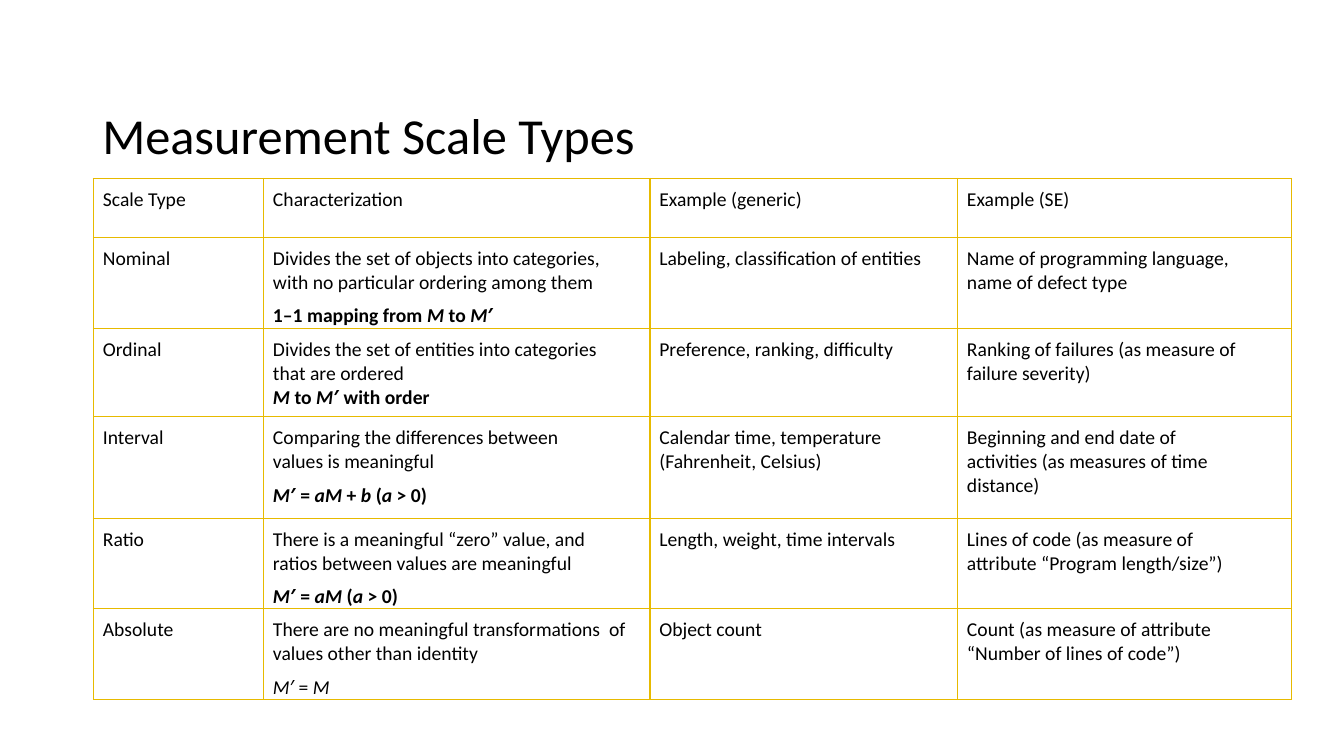
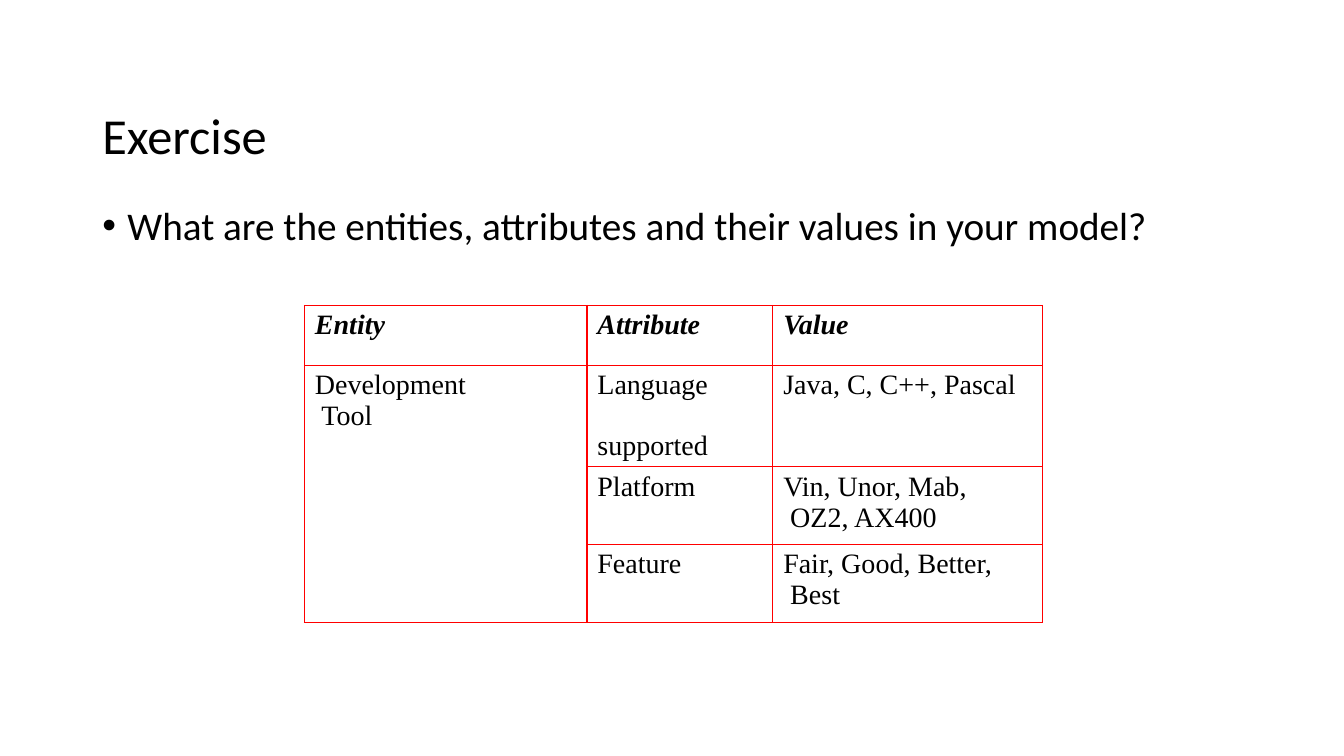
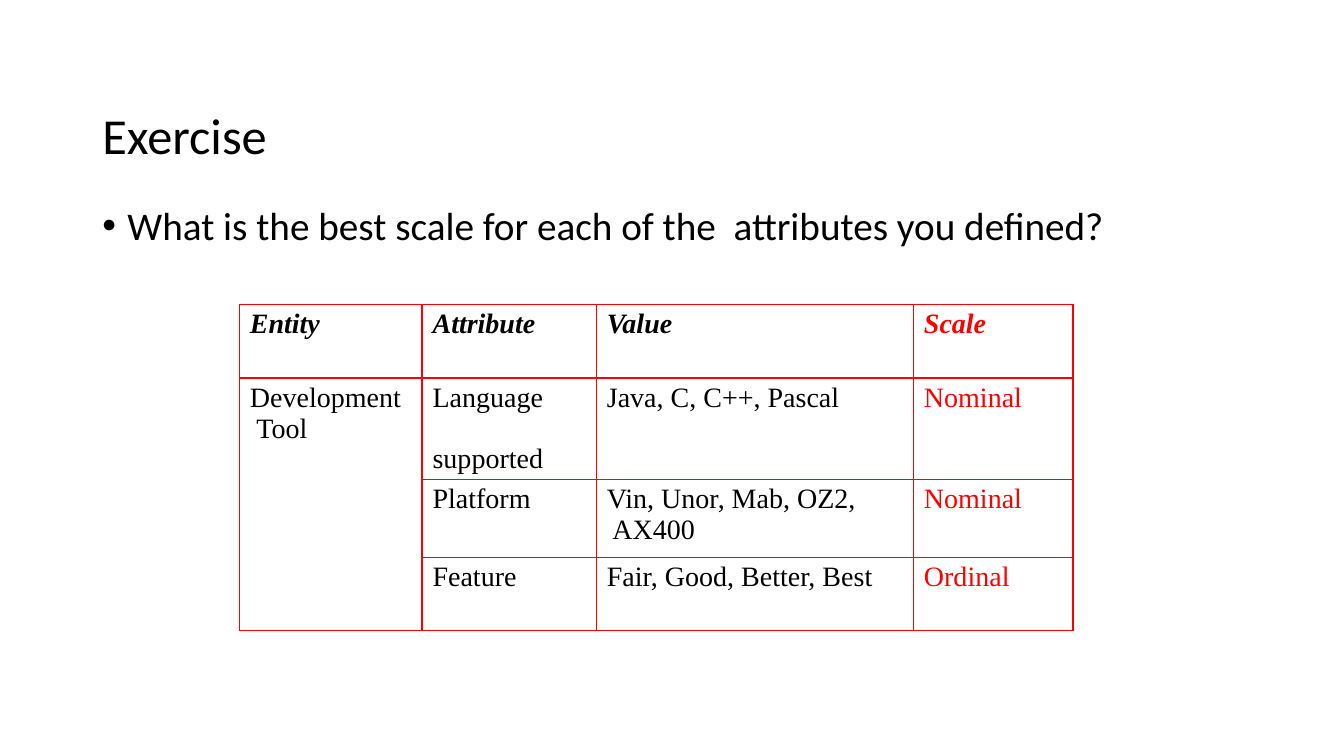
import copy
from dataclasses import dataclass
from typing import Optional, Union

import pptx
import pptx.dml.color
import pptx.enum.text
import pptx.oxml
import pptx.oxml.ns
import pptx.util

RGBColor = pptx.dml.color.RGBColor
BLACK = RGBColor(0x00, 0x00, 0x00)
RED = RGBColor(0xFF, 0x00, 0x00)
GOLD = RGBColor(0xE7, 0xBA, 0x00)
SANS = "Calibri"
SERIF = "Times New Roman"
EMU_PER_PX = 9525


def px(length: int) -> pptx.util.Emu:
    return pptx.util.Emu(length * EMU_PER_PX)


@dataclass(frozen=True)
class Line:
    """One paragraph; parts between bars are italic."""
    text: str
    bold: bool = False
    space_before: float = 0


Content = Union[str, tuple[Line, ...]]


@dataclass(frozen=True)
class TableStyle:
    font: str
    size: int
    border: RGBColor
    inset_left: int
    inset_top: int
    emphasized_header: bool


@dataclass(frozen=True)
class Grid:
    left: int
    top: int
    columns: tuple[int, ...]
    rows: tuple[int, ...]
    cells: list[tuple[Optional[Content], ...]]  # None continues the cell above
    style: TableStyle
    red_column: Optional[int] = None


@dataclass(frozen=True)
class Page:
    title: str
    question: Optional[str]
    grid: Grid


SCALES = TableStyle(SANS, 14, GOLD, 9, 9, False)
EXERCISE = TableStyle(SERIF, 20, RED, 10, 4, True)


def style_runs(paragraph, font: str, size: int, color: RGBColor) -> None:
    for run in paragraph.runs:
        run.font.name = font
        run.font.size = pptx.util.Pt(size)
        run.font.color.rgb = color
    # Line breaks take the size of the text around them
    for line_break in paragraph._p.findall(pptx.oxml.ns.qn("a:br")):
        line_break.append(copy.deepcopy(paragraph.runs[0]._r.rPr))


def add_text(slide, text: str, box: tuple[int, int, int, int], size: int, bullet: bool = False) -> None:
    shape = slide.shapes.add_textbox(*map(px, box))
    frame = shape.text_frame
    frame.word_wrap = True
    anchor = pptx.enum.text.MSO_ANCHOR
    frame.vertical_anchor = anchor.TOP if bullet else anchor.MIDDLE
    frame.text = text
    paragraph = frame.paragraphs[0]
    paragraph.line_spacing = 0.9
    style_runs(paragraph, SANS, size, BLACK)
    if bullet:
        properties = paragraph._p.get_or_add_pPr()
        properties.set("marL", str(px(24)))
        properties.set("indent", str(-px(24)))
        namespace = pptx.oxml.ns.nsdecls("a")
        properties.append(pptx.oxml.parse_xml(f'<a:buFont {namespace} typeface="Arial"/>'))
        properties.append(pptx.oxml.parse_xml(f'<a:buChar {namespace} char="•"/>'))


def set_borders(cell, color: RGBColor) -> None:
    properties = cell._tc.get_or_add_tcPr()
    for side in ("lnL", "lnR", "lnT", "lnB"):
        properties.append(pptx.oxml.parse_xml(
            f'<a:{side} {pptx.oxml.ns.nsdecls("a")} w="12700"><a:solidFill>'
            f'<a:srgbClr val="{color}"/></a:solidFill></a:{side}>'))


def fill_cell(cell, content: Content, style: TableStyle, color: RGBColor, header: bool) -> None:
    lines = (Line(content),) if isinstance(content, str) else content
    frame = cell.text_frame
    for index, line in enumerate(lines):
        paragraph = frame.paragraphs[0] if index == 0 else frame.add_paragraph()
        paragraph.space_before = pptx.util.Pt(line.space_before)
        parts = line.text.split("|")
        paragraph.text = parts[0]
        for position, part in enumerate(parts[1:], start=1):
            run = paragraph.add_run()
            run.text = part
            run.font.italic = position % 2 == 1
        for run in paragraph.runs:
            run.font.bold = header or line.bold
            if header:
                run.font.italic = True
        style_runs(paragraph, style.font, style.size, color)


def add_grid(slide, grid: Grid) -> None:
    frame = slide.shapes.add_table(
        len(grid.rows), len(grid.columns), px(grid.left), px(grid.top),
        px(sum(grid.columns)), px(sum(grid.rows)))
    table = frame.table
    table.first_row = False
    table.horz_banding = False
    for column, width in zip(table.columns, grid.columns):
        column.width = px(width)
    for row, height in zip(table.rows, grid.rows):
        row.height = px(height)
    style = grid.style
    for row_index, contents in enumerate(grid.cells):
        for column_index, content in enumerate(contents):
            cell = table.cell(row_index, column_index)
            cell.margin_left = px(style.inset_left)
            cell.margin_top = px(style.inset_top)
            cell.margin_right = cell.margin_bottom = 0
            set_borders(cell, style.border)
            cell.fill.background()
            if content is not None:
                color = RED if column_index == grid.red_column else BLACK
                header = style.emphasized_header and row_index == 0
                fill_cell(cell, content, style, color, header)
    # Join each run of continued cells with the cell that starts it
    for column_index, column_cells in enumerate(zip(*grid.cells)):
        start = 0
        for row_index, content in enumerate(column_cells):
            if content is not None:
                start = row_index
            elif row_index + 1 == len(column_cells) or column_cells[row_index + 1] is not None:
                table.cell(start, column_index).merge(table.cell(row_index, column_index))


# Slide content
LANGUAGE = (Line("Language"), Line("supported", space_before=21.5))
TOOL = "Development\n Tool"

PAGES = [
    Page("Measurement Scale Types", None, Grid(
        89, 170, (162, 368, 293, 318), (56, 87, 84, 97, 86, 86),
        [
            ("Scale Type", "Characterization", "Example (generic)", "Example (SE)"),
            ("Nominal",
             (Line("Divides the set of objects into categories,\nwith no particular ordering among them"),
              Line("1–1 mapping from |M |to |M|′", True, 6.8)),
             "Labeling, classification of entities",
             "Name of programming language,\nname of defect type"),
            ("Ordinal",
             (Line("Divides the set of entities into categories\nthat are ordered"),
              Line("|M |to |M|′ with order", True)),
             "Preference, ranking, difficulty",
             "Ranking of failures (as measure of\nfailure severity)"),
            ("Interval",
             (Line("Comparing the differences between\nvalues is meaningful"),
              Line("|M|′ = |aM |+ |b |(|a |> 0)", True, 6.8)),
             "Calendar time, temperature\n(Fahrenheit, Celsius)",
             "Beginning and end date of\nactivities (as measures of time\ndistance)"),
            ("Ratio",
             (Line("There is a meaningful “zero” value, and\nratios between values are meaningful"),
              Line("|M|′ = |aM |(|a |> 0)", True, 6.8)),
             "Length, weight, time intervals",
             "Lines of code (as measure of\nattribute “Program length/size”)"),
            ("Absolute",
             (Line("There are no meaningful transformations  of\nvalues other than identity"),
              Line("|M|′ = |M", False, 6.8)),
             "Object count",
             "Count (as measure of attribute\n“Number of lines of code”)"),
        ], SCALES)),
    Page("Exercise", "What are the entities, attributes and their values in your model?", Grid(
        290, 291, (269, 177, 257), (57, 92, 74, 74),
        [
            ("Entity", "Attribute", "Value"),
            (TOOL, LANGUAGE, "Java, C, C++, Pascal"),
            (None, "Platform", "Vin, Unor, Mab,\n OZ2, AX400"),
            (None, "Feature", "Fair, Good, Better,\n Best"),
        ], EXERCISE)),
    Page("Exercise", "What is the best scale for each of the  attributes you defined?", Grid(
        228, 290, (174, 166, 302, 152), (70, 93, 74, 70),
        [
            ("Entity", "Attribute", "Value", "Scale"),
            (TOOL, LANGUAGE, "Java, C, C++, Pascal", "Nominal"),
            (None, "Platform", "Vin, Unor, Mab, OZ2,\n AX400", "Nominal"),
            (None, "Feature", "Fair, Good, Better, Best", "Ordinal"),
        ], EXERCISE, red_column=3)),
]


def main() -> None:
    presentation = pptx.Presentation()
    presentation.slide_width, presentation.slide_height = px(1280), px(720)
    for page in PAGES:
        slide = presentation.slides.add_slide(presentation.slide_layouts[6])
        add_text(slide, page.title, (88, 87, 1104, 90), 36)
        if page.question:
            add_text(slide, page.question, (88, 192, 1112, 62), 28, bullet=True)
        add_grid(slide, page.grid)
    presentation.save("out.pptx")


if __name__ == "__main__":
    main()
